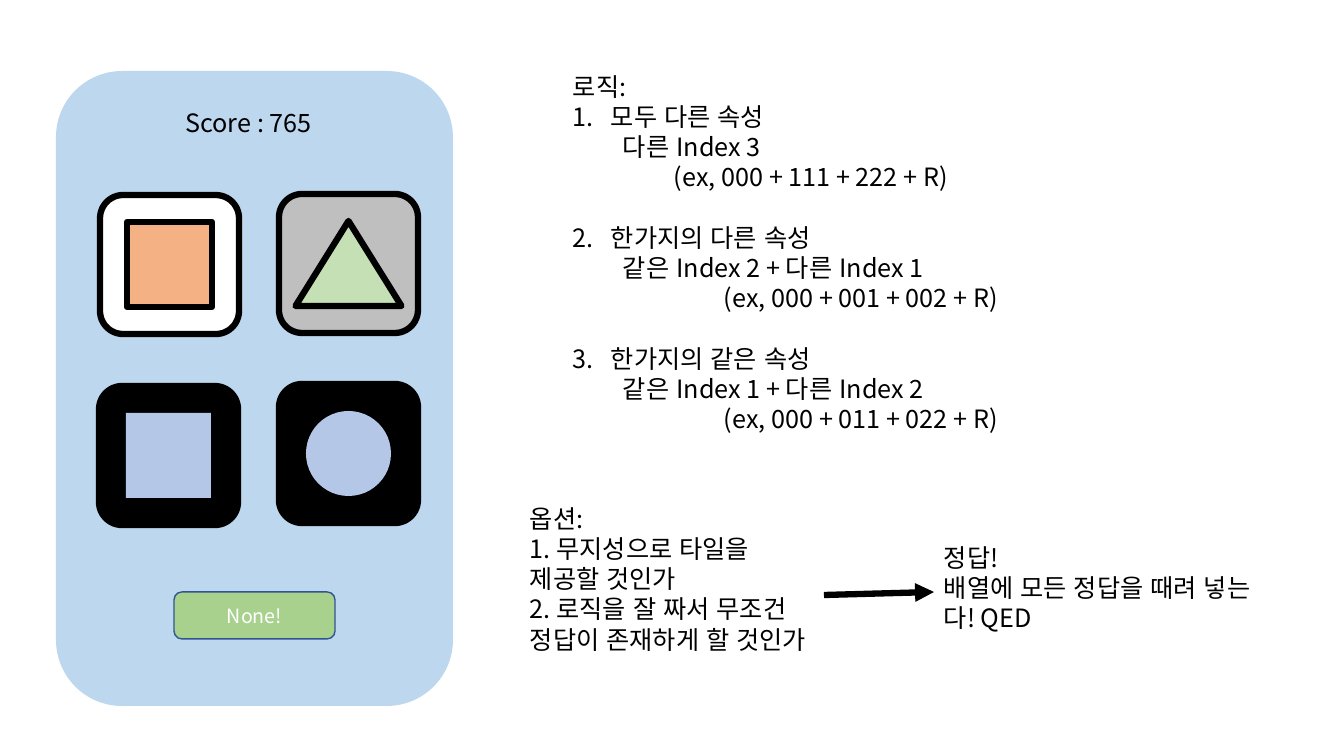
from pptx import Presentation
from pptx.dml.color import RGBColor
from pptx.enum.shapes import MSO_CONNECTOR, MSO_SHAPE
from pptx.enum.text import MSO_ANCHOR, PP_ALIGN
from pptx.oxml.ns import qn
from pptx.util import Pt
from lxml.etree import SubElement

BLACK = RGBColor(0x00, 0x00, 0x00)
WHITE = RGBColor(0xFF, 0xFF, 0xFF)
GRAY = RGBColor(0xBF, 0xBF, 0xBF)
SKY = RGBColor(0xBD, 0xD7, 0xEE)
PERIWINKLE = RGBColor(0xB4, 0xC7, 0xE7)
ORANGE = RGBColor(0xF4, 0xB1, 0x83)
MINT = RGBColor(0xC5, 0xE0, 0xB4)
GREEN = RGBColor(0xA9, 0xD1, 0x8E)
NAVY = RGBColor(0x32, 0x54, 0x91)

FONT = "Noto Sans CJK KR"
EMU_PER_PX = 914400 / 100.8
LINE_RATIO = 1.2
TILE, SYMBOL = 139, 85
THICK = 4.5

PANEL = (56, 71, 397, 635)
BUTTON = (174, 592, 161, 47)
SCORE = (120, 102, 257, 40)
LOGIC = (563, 66, 700, 377)
OPTIONS = (520, 498, 304, 194)
ANSWER = (934, 537, 351, 102)
ARROW = (824, 595, 934, 592)

TILES = [
    (100, 195, WHITE, MSO_SHAPE.RECTANGLE, SYMBOL, ORANGE, THICK),
    (279, 194, GRAY, MSO_SHAPE.ISOSCELES_TRIANGLE, 106, MINT, THICK),
    (99, 386, BLACK, MSO_SHAPE.RECTANGLE, SYMBOL, PERIWINKLE, 0),
    (279, 384, BLACK, MSO_SHAPE.OVAL, SYMBOL, PERIWINKLE, 0),
]
RULES = [
    ("모두 다른 속성", "다른 Index 3", "(ex, 000 + 111 + 222 + R)", 101),
    ("한가지의 다른 속성", "같은 Index 2 + 다른 Index 1", "(ex, 000 + 001 + 002 + R)", 151),
    ("한가지의 같은 속성", "같은 Index 1 + 다른 Index 2", "(ex, 000 + 011 + 022 + R)", 151),
]
OPTION_LINES = ["옵션:", "1. 무지성으로 타일을 제공할 것인가",
                "2. 로직을 잘 짜서 무조건 정답이 존재하게 할 것인가"]
ANSWER_LINES = ["정답!", "배열에 모든 정답을 때려 넣는다! QED"]


def px(n):
    return round(n * EMU_PER_PX)


def add_shape(slide, kind, box, fill, line=BLACK, weight=0):
    sp = slide.shapes.add_shape(kind, *map(px, box))
    sp.shadow.inherit = False
    sp.fill.solid()
    sp.fill.fore_color.rgb = fill
    if weight:
        sp.line.color.rgb = line
        sp.line.width = Pt(weight)
    else:
        sp.line.fill.background()
    return sp


def write(p, text, size=18, color=BLACK, **layout):
    for name, value in {"line_spacing": Pt(size * LINE_RATIO), **layout}.items():
        setattr(p, name, value)
    r = p.add_run()
    r.text = text
    for name, value in {"name": FONT, "size": Pt(size)}.items():
        setattr(r.font, name, value)
    r.font.color.rgb = color
    rPr = r.font._element
    rPr.set("lang", "ko-KR")
    SubElement(rPr, qn("a:ea"), typeface=FONT)


def indent(p, left, number=0):
    pPr = p._p.get_or_add_pPr()
    pPr.set("marL", str(px(left)))
    if number:
        pPr.set("indent", str(-px(left)))
        SubElement(pPr, qn("a:buAutoNum"), type="arabicPeriod", startAt=str(number))


def add_text(slide, box, lines, **layout):
    tf = slide.shapes.add_textbox(*map(px, box)).text_frame
    tf.word_wrap = True
    for i, text in enumerate(lines):
        write(tf.add_paragraph() if i else tf.paragraphs[0], text, **layout)
    return tf


prs = Presentation()
prs.slide_width, prs.slide_height = px(1344), px(756)
slide = prs.slides.add_slide(prs.slide_layouts[6])

add_shape(slide, MSO_SHAPE.ROUNDED_RECTANGLE, PANEL, SKY)
button = add_shape(slide, MSO_SHAPE.ROUNDED_RECTANGLE, BUTTON, GREEN, NAVY, 1)
button.text_frame.vertical_anchor = MSO_ANCHOR.MIDDLE
write(button.text_frame.paragraphs[0], "None!", 14, WHITE, alignment=PP_ALIGN.CENTER)
add_text(slide, SCORE, ["Score : 765"], alignment=PP_ALIGN.CENTER)

for x, y, back, kind, width, fill, weight in TILES:
    add_shape(slide, MSO_SHAPE.ROUNDED_RECTANGLE, (x, y, TILE, TILE), back, BLACK, THICK)
    symbol_box = (x + (TILE - width) / 2, y + (TILE - SYMBOL) / 2, width, SYMBOL)
    add_shape(slide, kind, symbol_box, fill, BLACK, weight)

tf = add_text(slide, LOGIC, ["로직:"])
for number, (title, index, example, example_left) in enumerate(RULES, 1):
    gap = Pt(18 * LINE_RATIO if number > 1 else 0)
    p = tf.add_paragraph()
    write(p, title, space_before=gap)
    indent(p, 38, number)
    for text, left in ((index, 50), (example, example_left)):
        p = tf.add_paragraph()
        write(p, text)
        indent(p, left)

add_text(slide, OPTIONS, OPTION_LINES)

arrow = slide.shapes.add_connector(MSO_CONNECTOR.STRAIGHT, *map(px, ARROW))
arrow.line.color.rgb = BLACK
arrow.line.width = Pt(THICK)
SubElement(arrow.line._get_or_add_ln(), qn("a:tailEnd"), type="triangle")
SubElement(arrow._element.spPr, qn("a:effectLst"))

add_text(slide, ANSWER, ANSWER_LINES)

prs.save("out.pptx")
